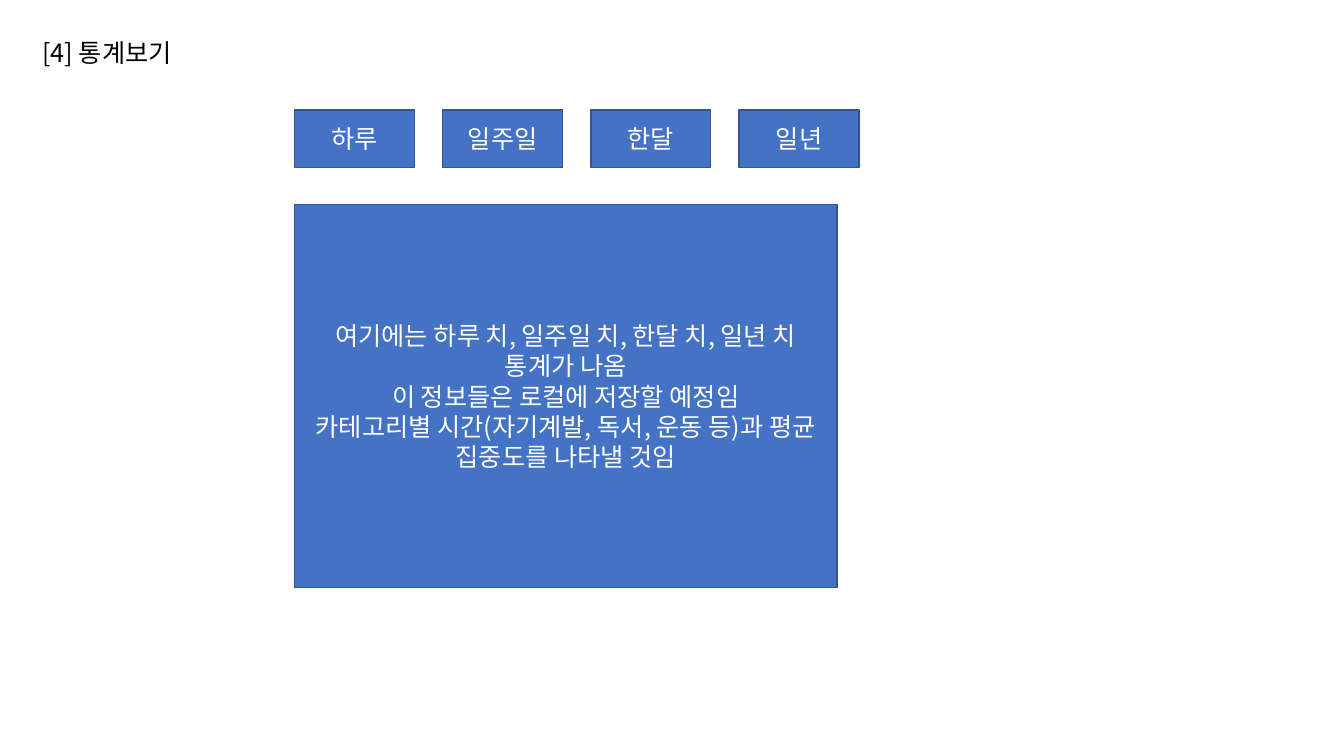
from lxml.etree import SubElement
from pptx import Presentation
from pptx.dml.color import RGBColor
from pptx.enum.shapes import MSO_SHAPE as Shape
from pptx.enum.text import MSO_ANCHOR as Anchor, MSO_AUTO_SIZE as AutoSize, PP_ALIGN as Align
from pptx.oxml.ns import qn
from pptx.util import Inches, Pt

FONT = "Noto Sans CJK KR"
BLUE, EDGE, WHITE, BLACK = "4472C4", "325491", "FFFFFF", "000000"

# Grid of the period buttons, in inches
LEFT, BUTTON_TOP, COLUMN_STEP = 2.92, 1.09, 1.47
BUTTON_WIDTH, BUTTON_HEIGHT = 1.19, 0.57

PERIODS = ["하루", "일주일", "한달", "일년"]
NOTES = [
    "여기에는 하루 치, 일주일 치, 한달 치, 일년 치 통계가 나옴",
    "이 정보들은 로컬에 저장할 예정임",
    "카테고리별 시간(자기계발, 독서, 운동 등)과 평균 집중도를 나타낼 것임",
]


def color(value):
    return RGBColor.from_string(value)


def write(frame, lines, ink, align):
    for index, line in enumerate(lines):
        para = frame.paragraphs[0] if index == 0 else frame.add_paragraph()
        para.alignment = align
        span = para.add_run()
        span.text = line
        span.font.size = Pt(18)
        span.font.name = FONT
        span.font.color.rgb = color(ink)
        # Hangul takes its typeface from the East Asian slot
        SubElement(span.font._element, qn("a:ea"), typeface=FONT)


def add_title(page, text):
    box = page.shapes.add_textbox(Inches(0.32), Inches(0.32), Inches(1.59), Inches(0.4))
    box.text_frame.word_wrap = False
    box.text_frame.auto_size = AutoSize.SHAPE_TO_FIT_TEXT
    write(box.text_frame, [text], BLACK, Align.LEFT)


def add_panel(page, left, top, width, height, lines):
    panel = page.shapes.add_shape(
        Shape.RECTANGLE, Inches(left), Inches(top), Inches(width), Inches(height))
    panel.shadow.inherit = False
    panel.fill.solid()
    panel.fill.fore_color.rgb = color(BLUE)
    panel.line.color.rgb = color(EDGE)
    panel.line.width = Pt(1)
    panel.text_frame.word_wrap = True
    panel.text_frame.vertical_anchor = Anchor.MIDDLE
    write(panel.text_frame, lines, WHITE, Align.CENTER)


def main():
    deck = Presentation()
    deck.slide_width, deck.slide_height = Inches(13.33), Inches(7.5)
    page = deck.slides.add_slide(deck.slide_layouts[6])

    add_title(page, "[4] 통계보기")

    # Period buttons
    for column, period in enumerate(PERIODS):
        add_panel(page, LEFT + column * COLUMN_STEP, BUTTON_TOP,
                  BUTTON_WIDTH, BUTTON_HEIGHT, [period])

    # Statistics area
    add_panel(page, LEFT, 2.03, 5.38, 3.8, NOTES)

    deck.save("out.pptx")


if __name__ == "__main__":
    main()
